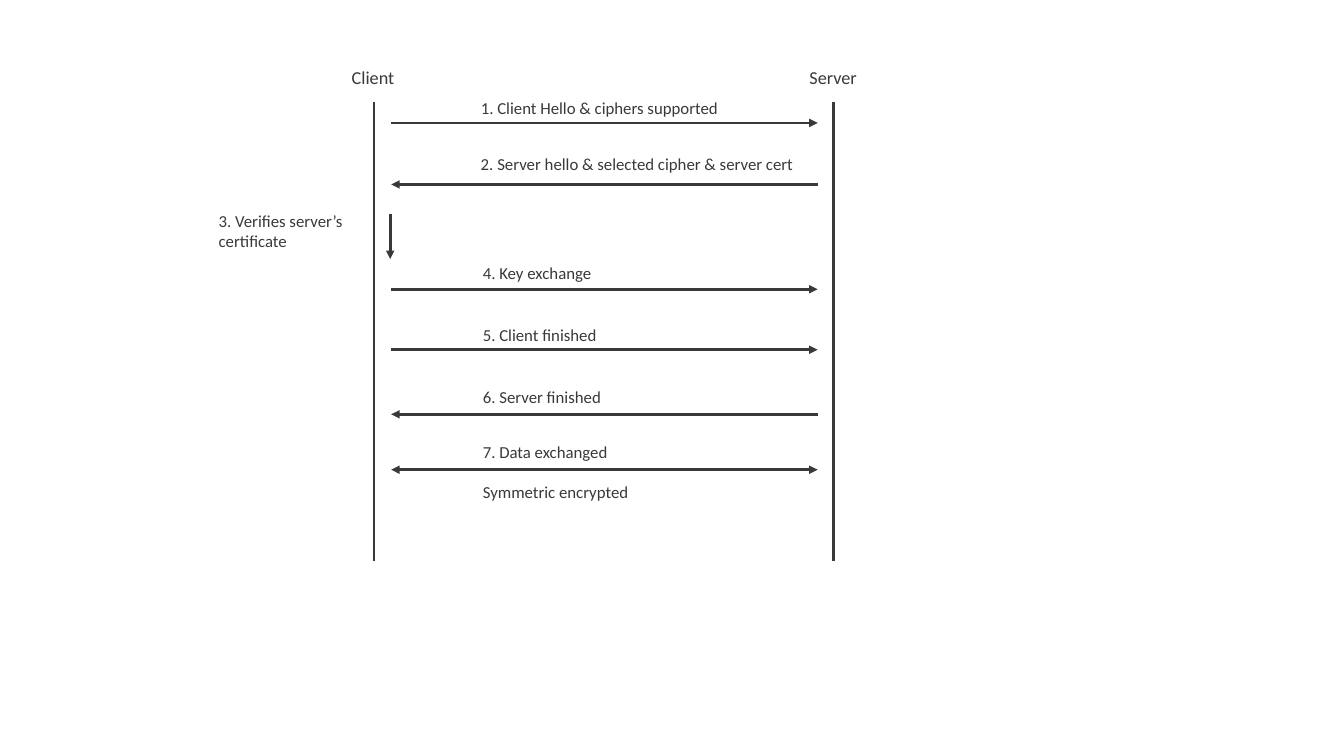
import dataclasses

import pptx
import pptx.dml.color
import pptx.enum.shapes
import pptx.enum.text
import pptx.oxml
import pptx.oxml.ns
import pptx.slide
import pptx.util

Inches = pptx.util.Inches
Pt = pptx.util.Pt
COLORS = {"ink": "3B3838"}
INK = pptx.dml.color.RGBColor.from_string(COLORS["ink"])
FONT = "Calibri"


@dataclasses.dataclass
class Line:
    """A straight line in inches, with optional arrowheads."""
    x1: float
    y1: float
    x2: float
    y2: float
    head: bool = False
    tail: bool = True


@dataclasses.dataclass
class Label:
    """A text box in inches; gap is the space between paragraphs in points."""
    text: str
    left: float
    top: float
    width: float
    height: float = 0.3
    size: int = 12
    gap: float = 0


def draw_line(slide: pptx.slide.Slide, line: Line) -> None:
    """Draw a line with its arrowheads and no shadow."""
    link = slide.shapes.add_connector(
        pptx.enum.shapes.MSO_CONNECTOR.STRAIGHT,
        Inches(line.x1), Inches(line.y1), Inches(line.x2), Inches(line.y2))
    link.line.color.rgb = INK
    link.line.width = Pt(2)
    props = link.line._get_or_add_ln()
    for tag, shown in (("a:headEnd", line.head), ("a:tailEnd", line.tail)):
        if shown:
            end = pptx.oxml.parse_xml(
                f'<{tag} {pptx.oxml.ns.nsdecls("a")} type="triangle"/>')
            props.append(end)
    link._element.spPr.append(
        pptx.oxml.parse_xml(f'<a:effectLst {pptx.oxml.ns.nsdecls("a")}/>'))


def draw_label(slide: pptx.slide.Slide, label: Label) -> None:
    """Draw a text box that does not wrap and fits its text."""
    box = slide.shapes.add_textbox(
        Inches(label.left), Inches(label.top),
        Inches(label.width), Inches(label.height))
    frame = box.text_frame
    frame.text = label.text
    frame.word_wrap = False
    frame.auto_size = pptx.enum.text.MSO_AUTO_SIZE.SHAPE_TO_FIT_TEXT
    for index, para in enumerate(frame.paragraphs):
        if index:
            para.space_before = Pt(label.gap)
        for run in para.runs:
            run.font.name = FONT
            run.font.size = Pt(label.size)
            run.font.color.rgb = INK


CLIENT, SERVER = 3.71, 8.27
LEFT, RIGHT = 3.88, 8.11

LINES = [
    *(Line(x, 1.01, x, 5.57, tail=False) for x in (CLIENT, SERVER)),
    *(Line(LEFT, y, RIGHT, y) for y in (1.22, 2.87, 3.47)),
    *(Line(RIGHT, y, LEFT, y) for y in (1.83, 4.11)),
    Line(RIGHT, 4.66, LEFT, 4.66, head=True),
    Line(3.87, 2.12, 3.87, 2.57),
]

LABELS = [
    Label("Client", 3.39, 0.61, 0.63, 0.32, 13),
    Label("Server", 7.93, 0.61, 0.68, 0.32, 13),
    Label("1. Client Hello & ciphers supported", 4.67, 0.92, 2.61),
    Label("2. Server hello & selected cipher & server cert", 4.67, 1.48, 3.34),
    Label("3. Verifies server’s\ncertificate", 2.07, 2.04, 1.48, 0.5),
    Label("4. Key exchange", 4.69, 2.56, 1.29),
    Label("5. Client finished", 4.69, 3.17, 1.34),
    Label("6. Server finished", 4.69, 3.79, 1.39),
    Label("7. Data exchanged\nSymmetric encrypted", 4.69, 4.33, 1.66, 0.71,
          gap=14.5),
]

deck = pptx.Presentation()
deck.slide_width, deck.slide_height = Inches(13.33), Inches(7.5)
slide = deck.slides.add_slide(deck.slide_layouts[6])
for line in LINES:
    draw_line(slide, line)
for label in LABELS:
    draw_label(slide, label)
deck.save("out.pptx")
